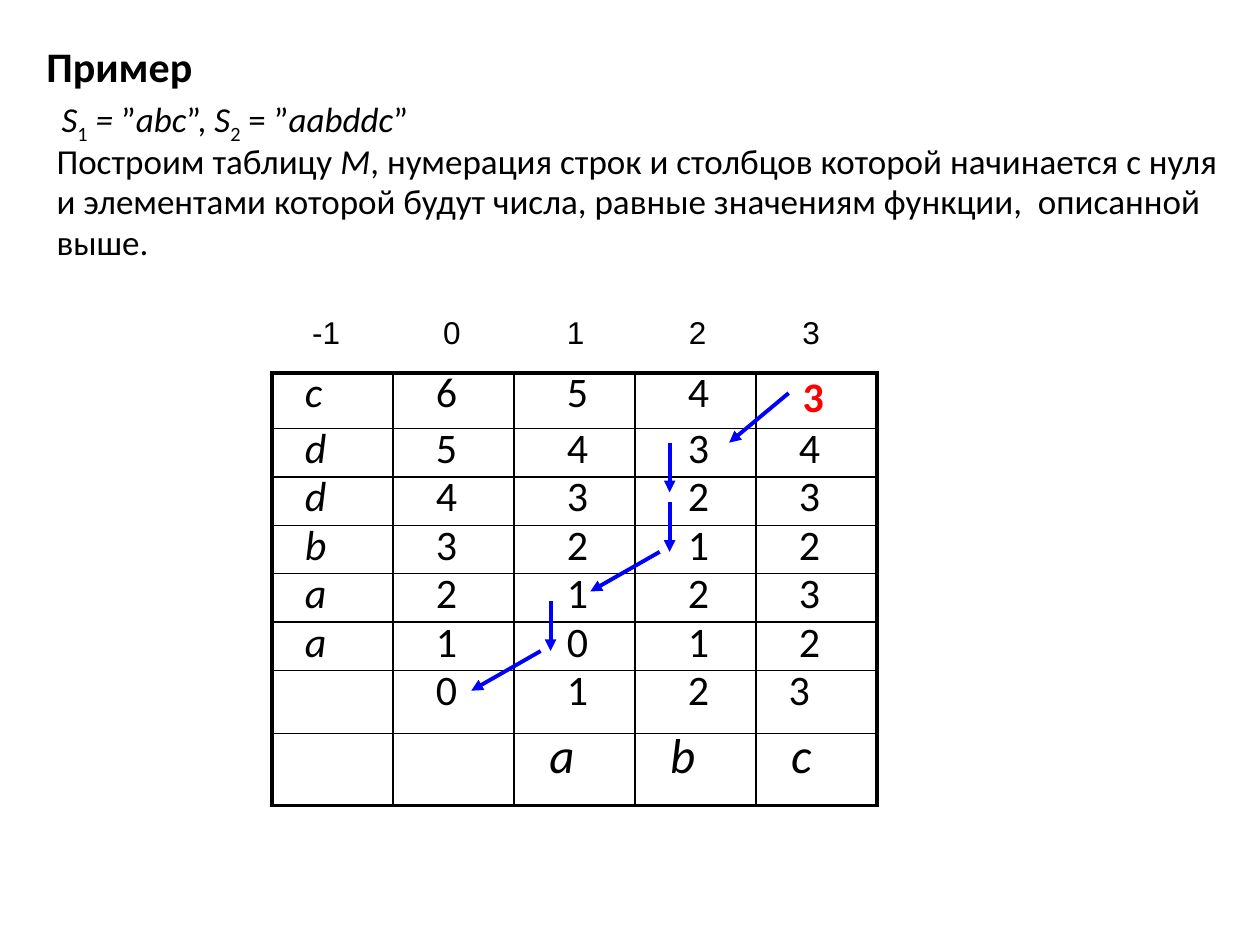
from lxml import etree
from pptx import Presentation
from pptx import util as u
from pptx.dml.color import RGBColor
from pptx.enum import shapes, text
from pptx.oxml.ns import qn

BLACK = RGBColor(0, 0, 0)
RED = RGBColor(255, 0, 0)
BLUE = RGBColor(0, 0, 255)

deck = Presentation()
deck.slide_width, deck.slide_height = u.Inches(10), u.Inches(7.5)
slide = deck.slides.add_slide(deck.slide_layouts[6])

# Grid of the table, in inches
LEFT, TOP, COL = 2.16, 2.96, 0.96
FIRST, LAST, FULL = 0.44, 0.43, 3.18
# Fine step on which the arrows lie
STEP = 10 / 127


def add_box(x, y, w, h):
    frame = slide.shapes.add_textbox(*map(u.Inches, (x, y, w, h))).text_frame
    frame.word_wrap = True
    return frame


def style(para, size, face="Calibri", lines=0.8, indent=0.0):
    para._p.get_or_add_pPr().set("marL", str(u.Inches(indent)))
    para.line_spacing = lines
    para.font.size = u.Pt(size)
    para.font.name = face
    para.font.color.rgb = BLACK


# Title
frame = add_box(0.27, 0, 9, 1.04)
frame.vertical_anchor = text.MSO_ANCHOR.MIDDLE
para = frame.paragraphs[0]
para.text = "Пример"
style(para, 24, lines=1)
para.font.bold = True

# Task: each run is its wording and a mark, i for italic, s for subscript
task = [
    [("S", "i"), ("1", "s"), (" = ", "i"), ("”", ""), ("abc", "i"), ("”, ", ""),
     ("S", "i"), ("2", "s"), (" = ”", ""), ("aabddc", "i"), ("”", "")],
    [("Построим таблицу ", ""), ("M", "i"),
     (", нумерация строк и столбцов которой начинается с нуля", "")],
    [("и элементами которой будут числа, равные значениям функции,  описанной", "")],
    [("выше.", "")],
]
frame = add_box(0.35, 0.76, 9.45, 1.58)
for n, runs in enumerate(task):
    para = frame.add_paragraph() if n else frame.paragraphs[0]
    style(para, 20, indent=0 if n else 0.04)
    if n:
        para.space_before = u.Pt(4)
    for words, mark in runs:
        run = para.add_run()
        run.text = words
        if mark == "i":
            run.font.italic = True
        elif mark == "s":
            run.font._element.set("baseline", "-25000")

# Column numbers on tab stops
para = add_box(LEFT, 2.49, 5.2, 0.34).paragraphs[0]
para.text = "\t-1\t0\t1\t2\t3"
para.line_spacing = 0.8
tabs = etree.SubElement(para._p.get_or_add_pPr(), qn("a:tabLst"))
for stop in (0.22, 1.26, 2.24, 3.21, 4.11):
    etree.SubElement(tabs, qn("a:tab"), pos=str(u.Inches(stop)), algn="l")
style(para, 18, "Arial")

# Table M
rows = ["c6543", "d5434", "d4323", "b3212", "a2123", "a1012", " 0123", "  abc"]
high, wide = len(rows), len(rows[0])
grid = slide.shapes.add_table(
    high, wide, *map(u.Inches, (LEFT, TOP, COL * wide, FULL))).table
grid.first_row = grid.horz_banding = False
for col in grid.columns:
    col.width = u.Inches(COL)
for r, row in enumerate(grid.rows):
    size = {0: FIRST, high - 1: LAST}.get(r, (FULL - FIRST - LAST) / (high - 2))
    row.height = u.Inches(size)
    for c, cell in enumerate(row.cells):
        # Thick frame outside, thin lines inside
        edges = {"L": c == 0, "R": c == wide - 1, "T": r == 0, "B": r == high - 1}
        for side, outer in edges.items():
            line = etree.SubElement(cell._tc.get_or_add_tcPr(), qn("a:ln" + side),
                                    w=str(u.Pt(2.25 if outer else 1)))
            fill = etree.SubElement(line, qn("a:solidFill"))
            etree.SubElement(fill, qn("a:srgbClr"), val=str(BLACK))
        cell.fill.background()

        para = cell.text_frame.paragraphs[0]
        para.text = rows[r][c].strip()
        foot = r == high - 1
        indent = 0.18 if foot else (0.16, 0.24, 0.32, 0.32, 0.24)[c]
        if (r, c) == (high - 2, wide - 1):
            indent = 0.16
        style(para, 28 if foot else 24, lines=0.7, indent=indent)
        para.font.italic = para.text.isalpha()

# Answer in the top right cell
cell = grid.cell(0, wide - 1)
cell.margin_top = u.Inches(0.09)
para = cell.text_frame.paragraphs[0]
style(para, 24, lines=0.7, indent=0.27)
para.font.bold = True
para.font.color.rgb = RED

# Arrows of the way back, in fine steps
ways = [(32, 0, 26, 5), (20, 5, 20, 10), (20, 11, 20, 16),
        (19, 16, 12, 20), (8, 21, 8, 26), (7, 26, 0, 30)]
for x1, y1, x2, y2 in ways:
    ends = (3.74 + x1 * STEP, 3.12 + y1 * STEP, 3.74 + x2 * STEP, 3.12 + y2 * STEP)
    arrow = slide.shapes.add_connector(
        shapes.MSO_CONNECTOR.STRAIGHT, *map(u.Inches, ends))
    arrow.line.color.rgb = BLUE
    arrow.line.width = u.Pt(2.25)
    etree.SubElement(arrow.line._get_or_add_ln(), qn("a:tailEnd"), type="triangle")
    etree.SubElement(arrow._element.spPr, qn("a:effectLst"))

deck.save("out.pptx")
